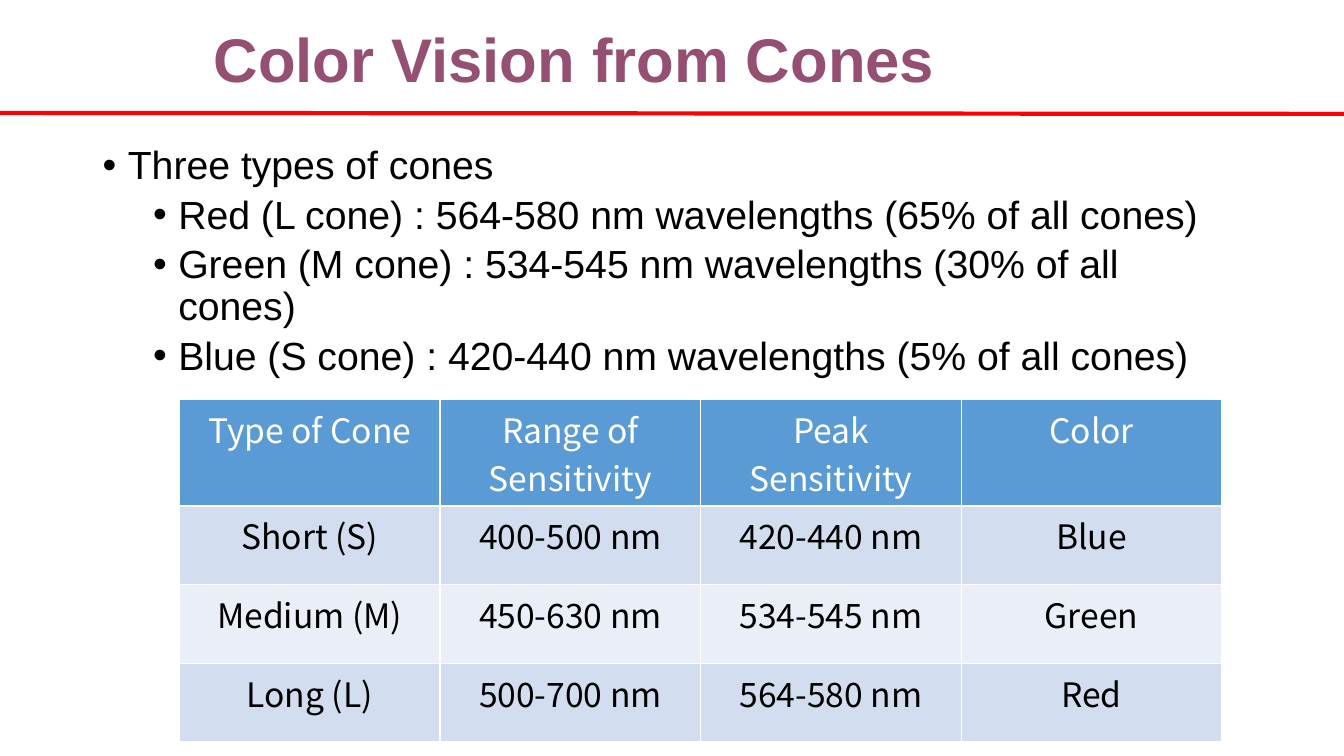
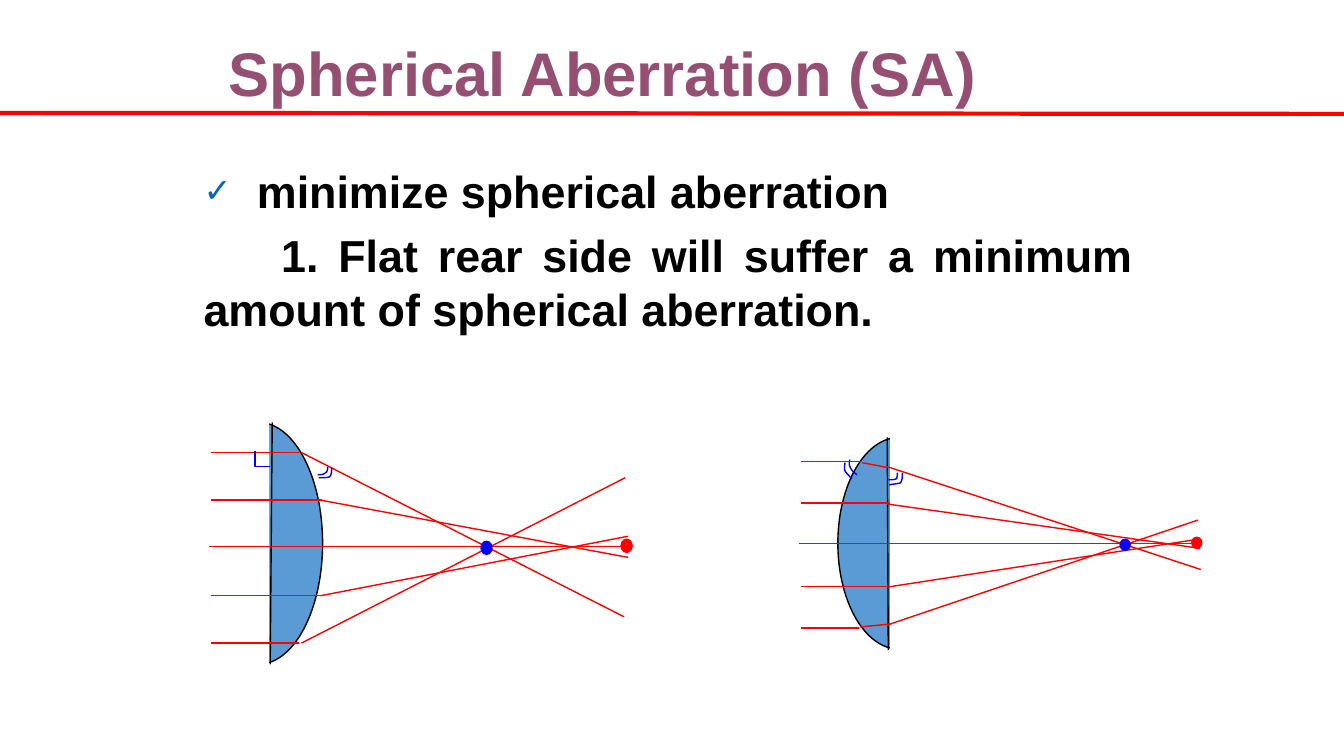
from dataclasses import dataclass

from lxml import etree
from pptx import Presentation, util as u
from pptx.dml.color import RGBColor
from pptx.enum import shapes, text
from pptx.oxml.ns import qn

PX = 9144
COLORS = {
    "title": "954F72", "ink": "000000", "paper": "FFFFFF", "ray": "FF0000",
    "mark": "0000FF", "lens": "5B9BD5", "band": "D2DEEF", "light": "EAEFF7",
    "check": "0563C1",
}
LATIN, TABLE_FONT = "Arial", "Noto Sans CJK SC"

CONE_POINTS = [
    (0, "Three types of cones"),
    (1, "Red (L cone) : 564-580 nm wavelengths (65% of all cones)"),
    (1, "Green (M cone) : 534-545 nm wavelengths (30% of all cones)"),
    (1, "Blue (S cone) : 420-440 nm wavelengths (5% of all cones)"),
]
CONE_ROWS = [
    ("Type of Cone", "Range of Sensitivity", "Peak Sensitivity", "Color"),
    ("Short (S)", "400-500 nm", "420-440 nm", "Blue"),
    ("Medium (M)", "450-630 nm", "534-545 nm", "Green"),
    ("Long (L)", "500-700 nm", "564-580 nm", "Red"),
]


@dataclass
class Lens:
    """Parts of a lens diagram, in px from its top left corner."""
    body: tuple
    cutoff: tuple
    flat_edge: tuple
    rays: list
    foci: dict
    focus_size: tuple
    angle_arcs: list
    right_angle: tuple = ()


FLAT_FRONT = Lens(
    body=(6, 2, 127, 240), cutoff=(0, 0, 80, 248), flat_edge=(83, 2, 81, 242),
    rays=[(20, 125, 434, 125), (22, 79, 132, 79), (130, 79, 436, 136),
          (22, 32, 110, 32), (112, 32, 432, 195), (22, 174, 132, 174),
          (131, 174, 436, 115), (22, 221, 110, 221), (112, 221, 433, 57)],
    foci={"mark": (290, 120), "ray": (429, 118)}, focus_size=(11, 13),
    angle_arcs=[
        [(128, 54), (131, 54), (134, 54), (136, 52), (138, 51), (138, 48), (138, 46)],
        [(129, 57), (133, 57), (138, 57), (140, 56), (142, 54), (142, 50), (142, 47)],
    ],
    right_angle=((66, 30), (66, 46), (81, 46)),
)
FLAT_REAR = Lens(
    body=(39, 1, 121, 210), cutoff=(91, -2, 76, 218), flat_edge=(88, 1, 89, 212),
    rays=[(0, 106, 395, 106), (2, 66, 91, 66), (88, 67, 398, 111),
          (2, 25, 62, 25), (63, 26, 89, 31), (88, 30, 399, 132),
          (2, 149, 93, 149), (91, 149, 396, 102), (2, 190, 60, 190),
          (61, 189, 92, 186), (88, 187, 396, 83)],
    foci={"mark": (319, 102), "ray": (390, 100)}, focus_size=(10, 11),
    angle_arcs=[
        [(46, 26), (46, 29), (45, 31), (46, 34), (47, 36), (50, 39), (53, 42)],
        [(51, 23), (50, 25), (50, 28), (51, 30), (52, 33), (55, 36), (58, 38)],
        [(89, 43), (92, 43), (95, 43), (97, 42), (98, 41), (98, 38), (98, 36)],
        [(90, 48), (94, 47), (99, 47), (101, 46), (103, 44), (103, 40), (103, 36)],
    ],
)


def px(*lengths):
    """Turn px lengths into EMU."""
    return [u.Emu(round(length * PX)) for length in lengths]


def rgb(name):
    """Look up a named colour."""
    return RGBColor.from_string(COLORS[name])


def style_runs(paragraph, size, color, font=LATIN, bold=False):
    """Format every run of a paragraph."""
    for run in paragraph.runs:
        run.font.size, run.font.bold, run.font.name = u.Pt(size), bold, font
        run.font.color.rgb = rgb(color)


def set_indent(paragraph, margin, first_line):
    """Set the left margin and first line indent in px."""
    props = paragraph._p.get_or_add_pPr()
    for key, length in zip(("marL", "indent"), px(margin, first_line)):
        props.set(key, str(length))


def add_bullet(paragraph, char, color=None, percent=None):
    """Give a paragraph a bullet character."""
    props = paragraph._p.get_or_add_pPr()
    if color:
        holder = etree.SubElement(props, qn("a:buClr"))
        etree.SubElement(holder, qn("a:srgbClr"), val=COLORS[color])
    if percent:
        etree.SubElement(props, qn("a:buSzPct"), val=str(percent * 1000))
    etree.SubElement(props, qn("a:buFont"), typeface=LATIN)
    etree.SubElement(props, qn("a:buChar"), char=char)


def add_text_frame(slide, box):
    """Add a wrapping text box and return its frame."""
    frame = slide.shapes.add_textbox(*px(*box)).text_frame
    frame.word_wrap = True
    return frame


def add_line(slide, ends, color, width=1):
    """Draw a straight line between two points."""
    line = slide.shapes.add_connector(shapes.MSO_CONNECTOR.STRAIGHT, *px(*ends))
    line.line.color.rgb, line.line.width = rgb(color), u.Pt(width)
    etree.SubElement(line._element.spPr, qn("a:effectLst"))


def add_filled(slide, kind, box, fill, outline=None):
    """Draw a filled preset shape."""
    shape = slide.shapes.add_shape(kind, *px(*box))
    shape.shadow.inherit = False
    shape.fill.solid()
    shape.fill.fore_color.rgb = rgb(fill)
    if outline:
        shape.line.color.rgb, shape.line.width = rgb(outline), u.Pt(1)
    else:
        shape.line.fill.background()


def add_outline(slide, points):
    """Draw an open, unfilled angle mark through px points."""
    start, *rest = [px(*point) for point in points]
    builder = slide.shapes.build_freeform(*start, scale=1.0)
    builder.add_line_segments(rest, close=False)
    mark = builder.convert_to_shape()
    mark.shadow.inherit = False
    mark.fill.background()
    mark.line.color.rgb, mark.line.width = rgb("mark"), u.Pt(1)


def curve_points(controls, steps=6):
    """Sample a chain of cubic curves."""
    points = [controls[0]]
    for first in range(0, len(controls) - 1, 3):
        quad = controls[first:first + 4]
        for step in range(1, steps + 1):
            t = step / steps
            weights = ((1 - t) ** 3, 3 * t * (1 - t) ** 2, 3 * t * t * (1 - t), t ** 3)
            points.append(tuple(sum(w * p[axis] for w, p in zip(weights, quad))
                                for axis in (0, 1)))
    return points


def new_slide(deck, title, title_box):
    """Start a slide with its title and red rule."""
    slide = deck.slides.add_slide(deck.slide_layouts[6])
    frame = add_text_frame(slide, title_box)
    frame.vertical_anchor = text.MSO_ANCHOR.MIDDLE
    frame.text = title
    frame.paragraphs[0].line_spacing = 0.9
    style_runs(frame.paragraphs[0], 44, "title", bold=True)
    add_line(slide, (0, 112, 1333, 113), "ray", 3)
    return slide


def add_cone_points(slide, box):
    """List the cone types with two bullet levels."""
    frame = add_text_frame(slide, box)
    frame.text = "\n".join(words for _, words in CONE_POINTS)
    for paragraph, (level, _) in zip(frame.paragraphs, CONE_POINTS):
        paragraph.level = level
        paragraph.line_spacing = 0.9
        if level:
            paragraph.space_before = u.Pt(5)
        set_indent(paragraph, 25 + 50 * level, -25)
        add_bullet(paragraph, "•")
        style_runs(paragraph, 28, "ink")


def add_borders(cell):
    """Give a filled cell thin white borders."""
    props = cell._tc.get_or_add_tcPr()
    for place, side in enumerate(("a:lnL", "a:lnR", "a:lnT", "a:lnB")):
        border = etree.Element(qn(side), w=str(u.Pt(1)))
        fill = etree.SubElement(border, qn("a:solidFill"))
        etree.SubElement(fill, qn("a:srgbClr"), val=COLORS["paper"])
        props.insert(place, border)


def add_cone_table(slide, box):
    """Tabulate the sensitivity of each cone type."""
    table = slide.shapes.add_table(len(CONE_ROWS), len(CONE_ROWS[0]), *px(*box)).table
    table.first_row = table.horz_banding = False
    fills = ("lens", "band", "light", "band")
    for row, (values, fill) in enumerate(zip(CONE_ROWS, fills)):
        table.rows[row].height = px(78 if row else 106)[0]
        for column, value in enumerate(values):
            cell = table.cell(row, column)
            cell.text_frame.text = value
            cell.fill.solid()
            cell.fill.fore_color.rgb = rgb(fill)
            add_borders(cell)
            paragraph = cell.text_frame.paragraphs[0]
            paragraph.alignment = text.PP_ALIGN.CENTER
            style_runs(paragraph, 24, "ink" if row else "paper", TABLE_FONT)


def add_aberration_text(slide, box):
    """State how to minimize the aberration."""
    frame = add_text_frame(slide, box)
    frame.text = ("minimize spherical aberration\n"
                  "1. Flat rear side will suffer a minimum amount of spherical aberration.")
    goal, advice = frame.paragraphs
    set_indent(goal, 53, -53)
    set_indent(advice, 0, 77)
    advice.space_before = u.Pt(7)
    add_bullet(goal, "✓", "check", 75)
    for paragraph in frame.paragraphs:
        paragraph.alignment = text.PP_ALIGN.JUSTIFY
        style_runs(paragraph, 32, "ink", bold=True)


def add_lens(slide, left, top, lens):
    """Draw a lens diagram at a corner."""
    def at(x, y):
        return left + x, top + y

    def ends(line):
        return at(*line[:2]) + at(*line[2:])

    oval, rectangle = shapes.MSO_SHAPE.OVAL, shapes.MSO_SHAPE.RECTANGLE
    add_filled(slide, oval, at(*lens.body[:2]) + lens.body[2:], "lens", "ink")
    add_line(slide, ends(lens.flat_edge), "ink")
    add_filled(slide, rectangle, at(*lens.cutoff[:2]) + lens.cutoff[2:], "paper")
    for ray in lens.rays:
        add_line(slide, ends(ray), "ray")
    for color, corner in lens.foci.items():
        add_filled(slide, oval, at(*corner) + lens.focus_size, color, color)
    for arc in lens.angle_arcs:
        add_outline(slide, curve_points([at(*point) for point in arc]))
    if lens.right_angle:
        add_outline(slide, [at(*point) for point in lens.right_angle])


def build_cones(deck):
    """Build the slide on cone types."""
    slide = new_slide(deck, "Color Vision from Cones", (202, 0, 929, 125))
    add_cone_points(slide, (92, 140, 1154, 231))
    add_cone_table(slide, (178, 396, 1034, 340))


def build_aberration(deck):
    """Build the slide on spherical aberration."""
    slide = new_slide(deck, "Spherical Aberration (SA)", (217, 13, 808, 125))
    add_aberration_text(slide, (192, 158, 942, 183))
    add_lens(slide, 187, 417, FLAT_FRONT)
    add_lens(slide, 792, 433, FLAT_REAR)


def main():
    """Build and save the deck."""
    deck = Presentation()
    deck.slide_width, deck.slide_height = px(1333, 750)
    build_cones(deck)
    build_aberration(deck)
    deck.save("out.pptx")


if __name__ == "__main__":
    main()
